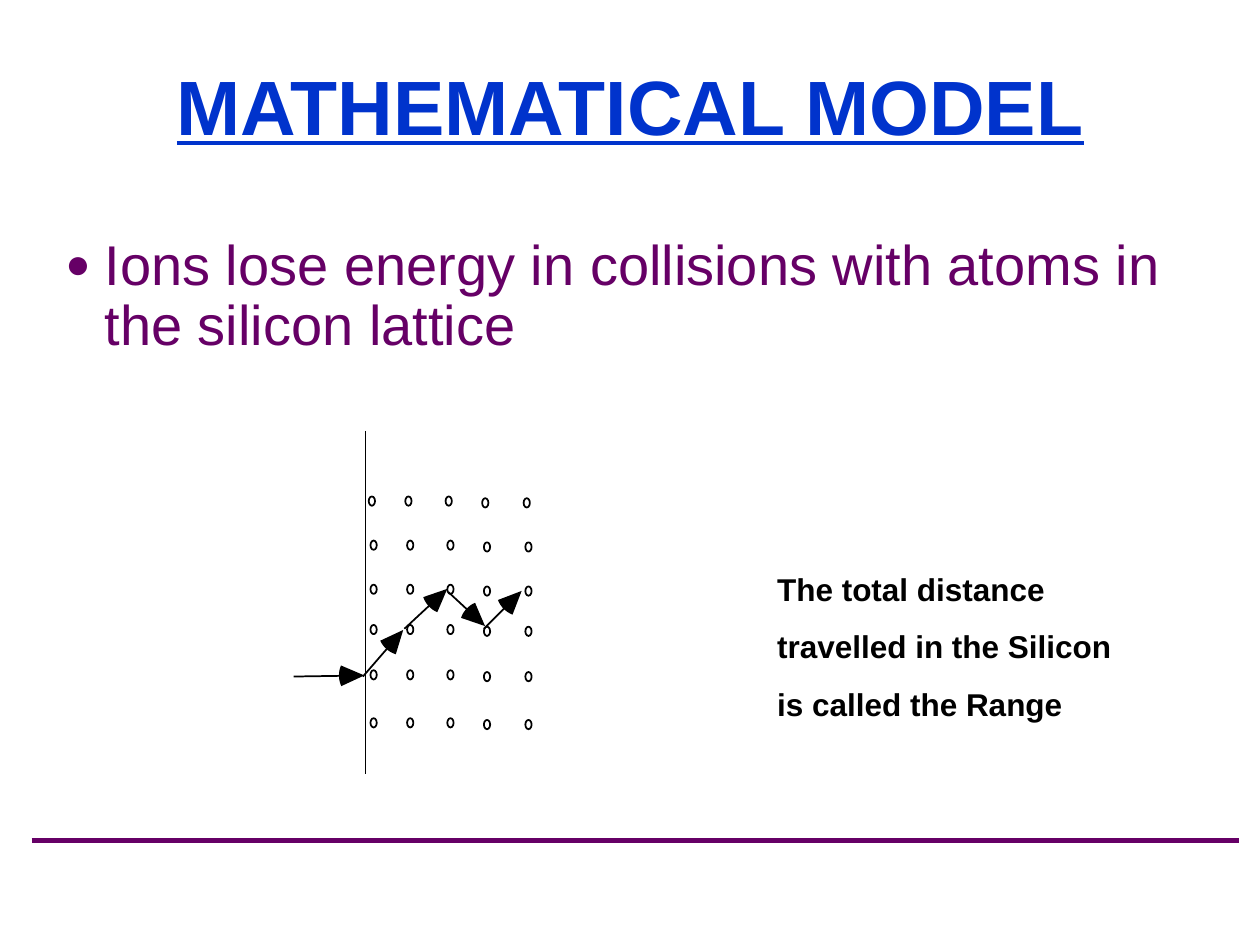
import math
from dataclasses import dataclass

import lxml.etree
import pptx
import pptx.dml.color
import pptx.enum.shapes
import pptx.enum.text
import pptx.oxml.ns
import pptx.util

Pt = pptx.util.Pt
PURPLE, BLUE, BLACK = "660066", "0033CC", "000000"
HEAD_RADIUS, HEAD_HALF_ANGLE, SHAFT_GAP = 14.5, 24, 6
ATOM_WIDTH, ATOM_HEIGHT = 3.6, 5.3
ATOM_COLUMNS = [211.7, 232.6, 255.6, 276.5, 300.2]
ATOM_ROWS = [283.7, 308.9, 334.1, 357.1, 383, 410.4]


@dataclass
class Passage:
    box: tuple[float, float, float, float]
    lines: list[str]
    color: str
    font: dict
    frame: dict
    paragraph: dict
    bullet: bool = False


@dataclass
class Flight:
    start: tuple[float, float]
    tip: tuple[float, float]


TITLE = Passage(
    (30.24, 18, 660.24, 90), ["MATHEMATICAL MODEL"], BLUE,
    {"size": Pt(44), "bold": True, "underline": True},
    {"word_wrap": True, "vertical_anchor": pptx.enum.text.MSO_ANCHOR.MIDDLE},
    {"alignment": pptx.enum.text.PP_ALIGN.CENTER, "line_spacing": 0.9},
)
ENERGY_LOSS = Passage(
    (30.24, 131.76, 660.24, 90),
    ["Ions lose energy in collisions with atoms in the silicon lattice"], PURPLE,
    {"size": Pt(32)},
    {"word_wrap": True, "vertical_anchor": pptx.enum.text.MSO_ANCHOR.TOP},
    {"line_spacing": 0.9}, bullet=True,
)
RANGE = Passage(
    (437, 321.8, 205.2, 95),
    ["The total distance", "travelled in the Silicon", "is called the Range"], BLACK,
    {"size": Pt(18), "bold": True},
    {"word_wrap": False, "vertical_anchor": pptx.enum.text.MSO_ANCHOR.MIDDLE},
    {"space_before": Pt(11.2)},
)
ION_TRACK = [
    Flight((167.8, 386.6), (208.2, 386)),
    Flight((207.4, 386.6), (230.4, 360)),
    Flight((231.1, 359.3), (255.6, 336.5)),
    Flight((256.3, 338.4), (277.2, 357.8)),
    Flight((276.5, 359.3), (298.1, 337.7)),
]


def rgb(hex_color: str) -> pptx.dml.color.RGBColor:
    return pptx.dml.color.RGBColor.from_string(hex_color)


def apply(target, values: dict) -> None:
    for name, value in values.items():
        setattr(target, name, value)


def add_bullet(paragraph) -> None:
    properties = paragraph._p.get_or_add_pPr()
    properties.set("marL", str(Pt(22.5)))
    properties.set("indent", str(-Pt(22.5)))
    qn = pptx.oxml.ns.qn
    color = lxml.etree.SubElement(properties, qn("a:buClr"))
    lxml.etree.SubElement(color, qn("a:srgbClr"), val=PURPLE)
    lxml.etree.SubElement(properties, qn("a:buSzPct"), val="75000")
    lxml.etree.SubElement(properties, qn("a:buFont"), typeface="Arial")
    lxml.etree.SubElement(properties, qn("a:buChar"), char="●")


def draw_passage(shapes, passage: Passage) -> None:
    frame = shapes.add_textbox(*map(Pt, passage.box)).text_frame
    apply(frame, passage.frame)
    for index, line in enumerate(passage.lines):
        paragraph = frame.add_paragraph() if index else frame.paragraphs[0]
        apply(paragraph, passage.paragraph)
        if not index:
            paragraph.space_before = Pt(0)
        if passage.bullet:
            add_bullet(paragraph)
        run = paragraph.add_run()
        run.text = line
        apply(run.font, {"name": "Arial", **passage.font})
        run.font.color.rgb = rgb(passage.color)


def draw_line(shapes, start: tuple, end: tuple, color: str = BLACK, width: float = 1) -> None:
    line = shapes.add_connector(
        pptx.enum.shapes.MSO_CONNECTOR.STRAIGHT, *map(Pt, (*start, *end)))
    line.line.color.rgb = rgb(color)
    line.line.width = Pt(width)
    lxml.etree.SubElement(line._element.spPr, pptx.oxml.ns.qn("a:effectLst"))


def draw_atom(shapes, left: float, top: float) -> None:
    atom = shapes.add_shape(
        pptx.enum.shapes.MSO_SHAPE.OVAL, *map(Pt, (left, top, ATOM_WIDTH, ATOM_HEIGHT)))
    atom.shadow.inherit = False
    atom.fill.background()
    atom.line.color.rgb = rgb(BLACK)
    atom.line.width = Pt(1)


def draw_flight(shapes, flight: Flight) -> None:
    (start_x, start_y), (tip_x, tip_y) = flight.start, flight.tip
    heading = math.atan2(tip_y - start_y, tip_x - start_x)

    def behind_tip(distance: float, degrees: float = 0) -> tuple[float, float]:
        angle = heading + math.radians(degrees)
        return tip_x - distance * math.cos(angle), tip_y - distance * math.sin(angle)

    outline = shapes.build_freeform(Pt(tip_x), Pt(tip_y))
    arc = [behind_tip(HEAD_RADIUS, degrees)
           for degrees in range(-HEAD_HALF_ANGLE, HEAD_HALF_ANGLE + 1, 6)]
    outline.add_line_segments([(Pt(x), Pt(y)) for x, y in arc], close=True)
    head = outline.convert_to_shape()
    head.shadow.inherit = False
    head.fill.solid()
    head.fill.fore_color.rgb = rgb(BLACK)
    head.line.fill.background()
    draw_line(shapes, flight.start, behind_tip(SHAFT_GAP))


def main() -> None:
    deck = pptx.Presentation()
    deck.slide_width, deck.slide_height = Pt(720), Pt(540)
    shapes = deck.slides.add_slide(deck.slide_layouts[6]).shapes
    draw_line(shapes, (18, 480.24), (707.76, 480.24), PURPLE, 3)
    draw_passage(shapes, TITLE)
    draw_passage(shapes, ENERGY_LOSS)
    for column, left in enumerate(ATOM_COLUMNS):
        for row, top in enumerate(ATOM_ROWS):
            draw_atom(shapes, left - (row == 0), top + (column > 2))
    draw_line(shapes, (208.8, 246.24), (208.8, 442.08))
    for flight in ION_TRACK:
        draw_flight(shapes, flight)
    draw_passage(shapes, RANGE)
    deck.save("out.pptx")


if __name__ == "__main__":
    main()
